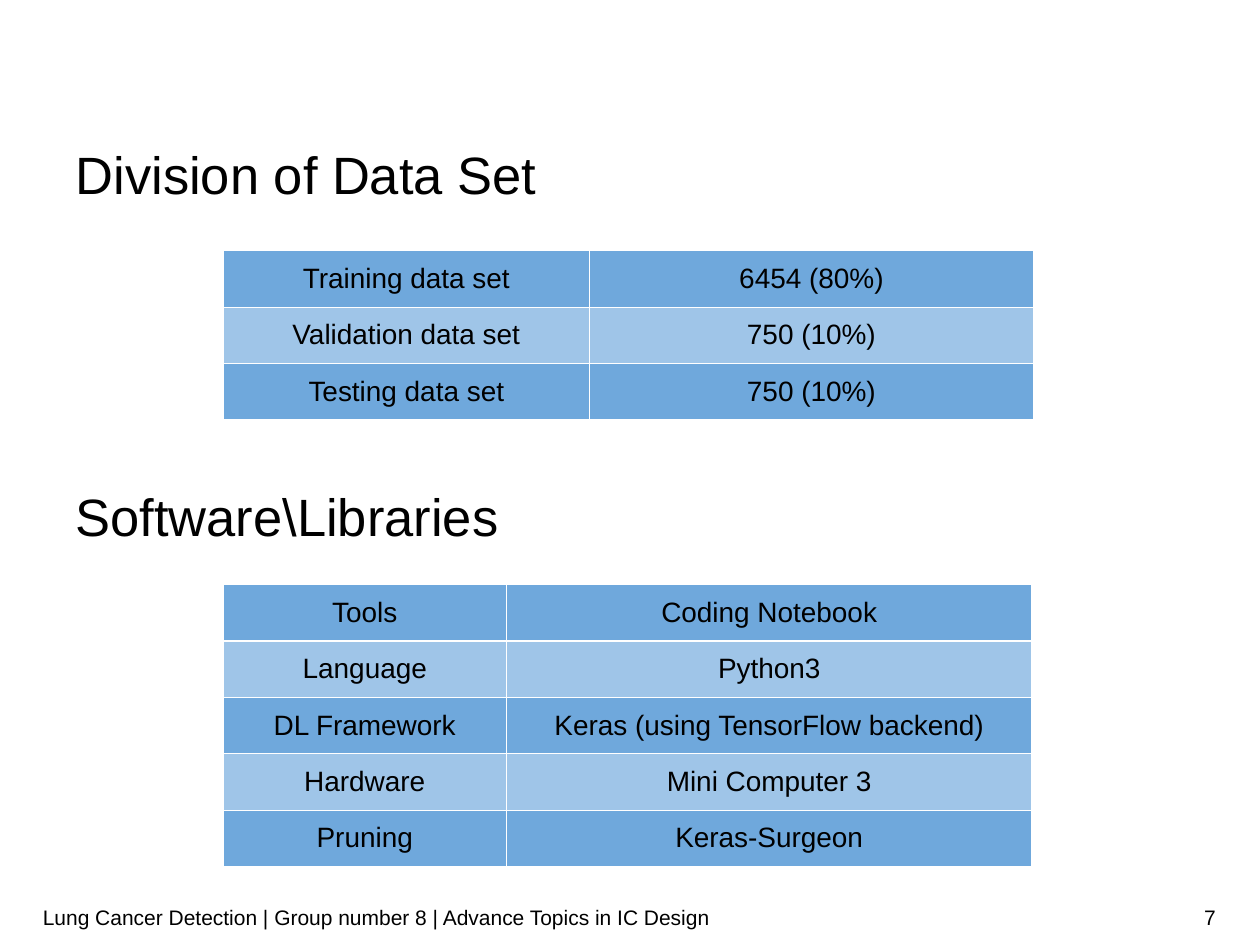
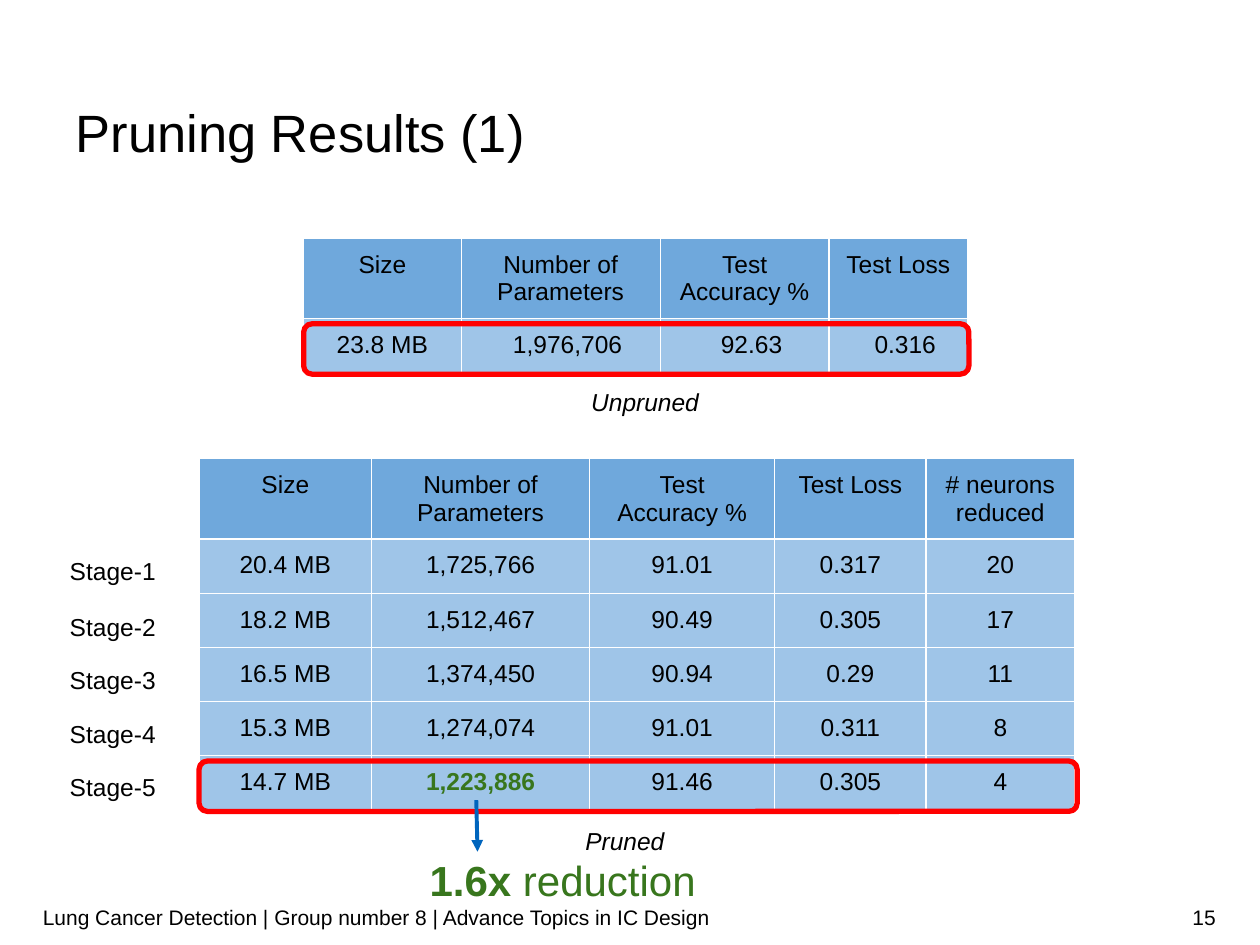
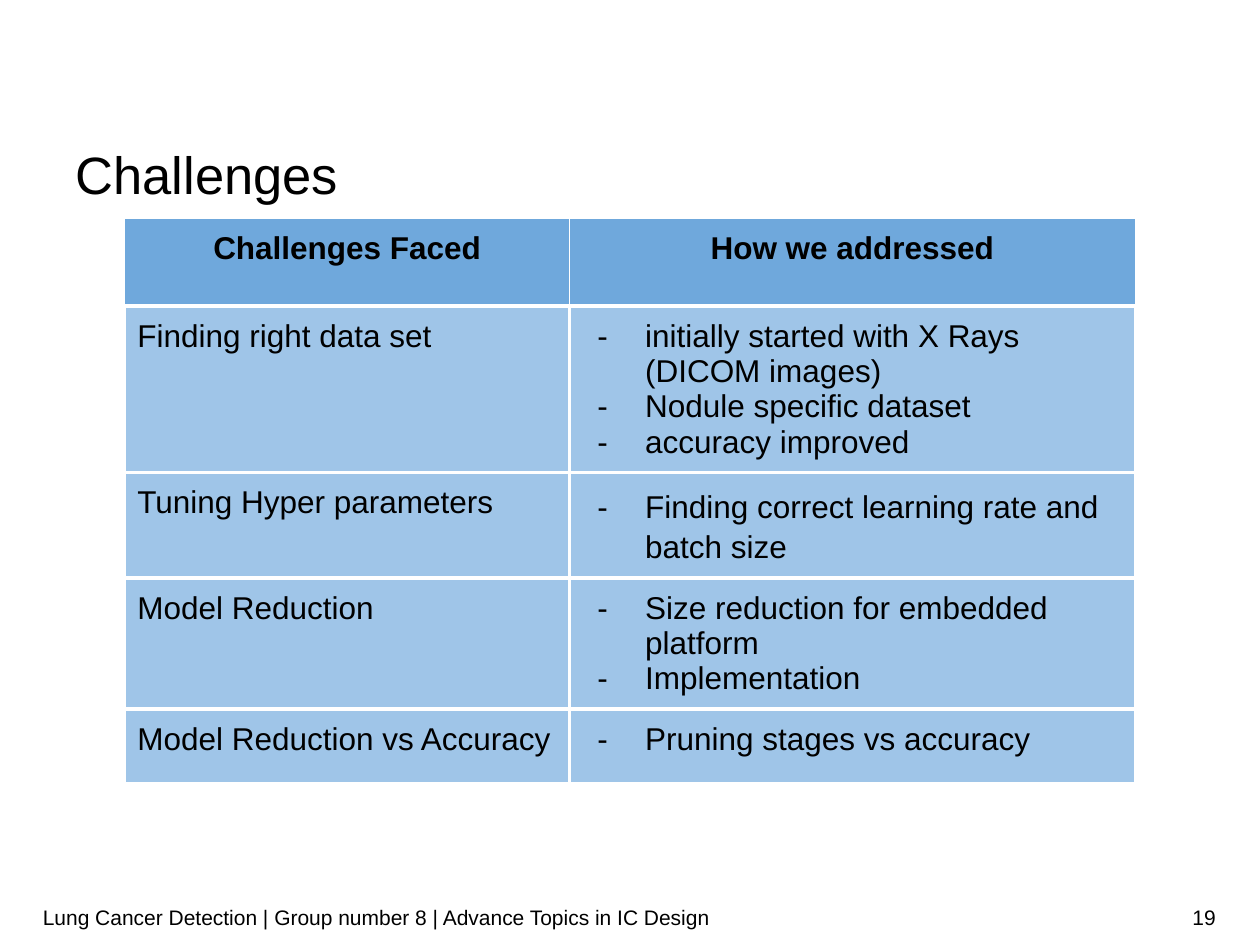
from dataclasses import dataclass

from lxml.etree import SubElement
from pptx import Presentation
from pptx.dml.color import RGBColor
from pptx.enum.shapes import MSO_CONNECTOR, MSO_SHAPE
from pptx.enum.text import MSO_ANCHOR, MSO_AUTO_SIZE, PP_ALIGN
from pptx.oxml import parse_xml
from pptx.oxml.ns import nsdecls, qn
from pptx.util import Emu, Pt

PX = 9144  # one px is a hundredth of an inch
FONT = "Arial"
BLACK, WHITE, RED = "000000", "FFFFFF", "FF0000"
DARK, LIGHT, GREEN, BLUE = "6FA8DC", "9FC5E8", "38761D", "0065BD"
LEFT, MID, RIGHT = PP_ALIGN.LEFT, PP_ALIGN.CENTER, PP_ALIGN.RIGHT
FOOTER = "Lung Cancer Detection | Group number 8 | Advance Topics in IC Design"


@dataclass(frozen=True)
class Box:
    x: int
    y: int
    w: int
    h: int

    def emu(self) -> list[Emu]:
        return [px(n) for n in (self.x, self.y, self.w, self.h)]


@dataclass(frozen=True)
class Run:
    text: str
    bold: bool = False
    italic: bool = False
    hue: str = BLACK


@dataclass(frozen=True)
class Style:
    size: int
    align: PP_ALIGN = MID
    space: float = 1.0
    dash: bool = False


@dataclass(frozen=True)
class Cell:
    lines: list[list[Run]]
    style: Style
    fill: str
    pad: int = 10


@dataclass(frozen=True)
class Grid:
    x: int
    y: int
    cols: list[int]
    rows: list[int]
    cells: list[list[Cell]]
    rule: float = 0.75
    head: float = 0.75


HEAD = Style(30, LEFT, 1.07)
NOTE = Style(14, MID, 1.14)
LABEL = Style(14)


def px(n: int) -> Emu:
    return Emu(n * PX)


def color(code: str) -> RGBColor:
    return RGBColor.from_string(code)


def plain(text: str, bold: bool = False) -> list[list[Run]]:
    return [[Run(part, bold)] for part in text.split("\n")]


# Text

def add_dash(para) -> None:
    props = para._p.get_or_add_pPr()
    props.set("marL", str(px(50)))
    props.set("indent", str(px(-38)))
    tint = SubElement(props, qn("a:buClr"))
    SubElement(tint, qn("a:srgbClr"), val=BLACK)
    SubElement(props, qn("a:buFont"), typeface=FONT)
    SubElement(props, qn("a:buChar"), char="-")


def write(frame, lines: list[list[Run]], style: Style) -> None:
    for i, line in enumerate(lines):
        para = frame.add_paragraph() if i else frame.paragraphs[0]
        para.alignment = style.align
        para.line_spacing = style.space
        if style.dash:
            add_dash(para)
        for item in line:
            run = para.add_run()
            run.text = item.text
            font = run.font
            font.name, font.size = FONT, Pt(style.size)
            font.bold, font.italic = item.bold, item.italic
            font.color.rgb = color(item.hue)


def set_frame(frame, side: int, edge: int, anchor=MSO_ANCHOR.TOP) -> None:
    frame.word_wrap = True
    frame.auto_size = MSO_AUTO_SIZE.NONE
    frame.vertical_anchor = anchor
    frame.margin_left = frame.margin_right = px(side)
    frame.margin_top = frame.margin_bottom = px(edge)


def add_text(slide, box: Box, lines: list[list[Run]], style: Style,
             side: int = 0, edge: int = 0, anchor=MSO_ANCHOR.TOP) -> None:
    frame = slide.shapes.add_textbox(*box.emu()).text_frame
    set_frame(frame, side, edge, anchor)
    write(frame, lines, style)


# Shared slide parts

def add_slide(deck, title: str, box: Box, page: int):
    slide = deck.slides.add_slide(deck.slide_layouts[5])
    head = slide.shapes.title
    head.left, head.top, head.width, head.height = box.emu()
    set_frame(head.text_frame, 0, 0)
    write(head.text_frame, plain(title), HEAD)
    for place, text, align in ((Box(34, 708, 707, 40), FOOTER, LEFT),
                               (Box(741, 708, 224, 40), str(page), RIGHT)):
        add_text(slide, place, plain(text), Style(12, align), 0, 5, MSO_ANCHOR.MIDDLE)
    return slide


# Tables

def add_rules(cell, sides: dict[str, float]) -> None:
    props = cell._tc.get_or_add_tcPr()
    for i, (side, width) in enumerate(sides.items()):
        props.insert(i, parse_xml(
            f'<a:ln{side} {nsdecls("a")} w="{Pt(width)}"><a:solidFill>'
            f'<a:srgbClr val="{WHITE}"/></a:solidFill></a:ln{side}>'))


def add_grid(slide, grid: Grid) -> None:
    box = Box(grid.x, grid.y, sum(grid.cols), sum(grid.rows))
    table = slide.shapes.add_table(len(grid.rows), len(grid.cols), *box.emu()).table
    table.first_row = table.horz_banding = False
    for col, width in zip(table.columns, grid.cols):
        col.width = px(width)
    for row, height in zip(table.rows, grid.rows):
        row.height = px(height)
    for r, line in enumerate(grid.cells):
        thin = grid.rule if r else grid.head
        for c, item in enumerate(line):
            cell = table.cell(r, c)
            cell.margin_left = px(item.pad)
            cell.margin_right = cell.margin_top = cell.margin_bottom = px(10)
            cell.fill.solid()
            cell.fill.fore_color.rgb = color(item.fill)
            add_rules(cell, {"L": thin, "R": thin, "T": thin, "B": grid.rule})
            write(cell.text_frame, item.lines, item.style)


def striped(rows: list[tuple[str, str]]) -> list[list[Cell]]:
    return [[Cell(plain(text), Style(16), LIGHT if r % 2 else DARK) for text in row]
            for r, row in enumerate(rows)]


def headed(rows: list[list[str]]) -> list[list[Cell]]:
    return [[Cell(plain(text), LABEL, LIGHT if r else DARK) for text in row]
            for r, row in enumerate(rows)]


# Marks

def add_ring(slide, box: Box) -> None:
    ring = slide.shapes.add_shape(MSO_SHAPE.ROUNDED_RECTANGLE, *box.emu())
    ring.shadow.inherit = False
    ring.fill.background()
    ring.line.color.rgb = color(RED)
    ring.line.width = Pt(3)


def add_arrow(slide, x1: int, y1: int, x2: int, y2: int) -> None:
    arrow = slide.shapes.add_connector(
        MSO_CONNECTOR.STRAIGHT, px(x1), px(y1), px(x2), px(y2))
    arrow.line.color.rgb = color(BLUE)
    arrow.line.width = Pt(2.25)
    SubElement(arrow.line._get_or_add_ln(), qn("a:tailEnd"), type="triangle")
    SubElement(arrow._element.spPr, qn("a:effectLst"))


# Slides

def add_data(deck) -> None:
    slide = add_slide(deck, "Division of Data Set", Box(60, 109, 563, 45), 7)
    add_text(slide, Box(60, 381, 563, 45), plain("Software\\Libraries"), HEAD)
    split = [("Training data set", "6454 (80%)"),
             ("Validation data set", "750 (10%)"),
             ("Testing data set", "750 (10%)")]
    tools = [("Tools", "Coding Notebook"),
             ("Language", "Python3"),
             ("DL Framework", "Keras (using TensorFlow backend)"),
             ("Hardware", "Mini Computer 3"),
             ("Pruning", "Keras-Surgeon")]
    for y, cols, rows in ((199, [291, 352], split), (464, [225, 417], tools)):
        add_grid(slide, Grid(177, y, cols, [42] * len(rows), striped(rows)))


def add_results(deck) -> None:
    slide = add_slide(deck, "Pruning Results (1)", Box(60, 76, 931, 45), 15)
    names = ["Size", "Number of Parameters", "Test\nAccuracy %", "Test Loss"]

    # Before pruning
    base = headed([["Size", "Number of Parameters", "Test Accuracy %", "Test Loss"],
                   ["23.8 MB"]])
    base[1] += [Cell(plain(text), LABEL, LIGHT, 21)
                for text in ("1,976,706", "92.63", "0.316")]
    add_grid(slide, Grid(241, 189, [125, 158, 134, 110], [42, 43], base))

    # After each stage
    stages = headed([names + ["# neurons reduced"],
                     ["20.4 MB", "1,725,766", "91.01", "0.317", "20"],
                     ["18.2 MB", "1,512,467", "90.49", "0.305", "17"],
                     ["16.5 MB", "1,374,450", "90.94", "0.29", "11"],
                     ["15.3 MB", "1,274,074", "91.01", "0.311", "8"],
                     ["14.7 MB", "1,223,886", "91.46", "0.305", "4"]])
    stages[5][1] = Cell([[Run("1,223,886", bold=True, hue=GREEN)]], LABEL, LIGHT)
    add_grid(slide, Grid(158, 364, [137, 173, 147, 120, 118], [42] + [43] * 5, stages))
    for i, y in enumerate((431, 476, 518, 561, 603), 1):
        add_text(slide, Box(35, y, 109, 40), plain(f"Stage-{i}"), LABEL, 10, 10)

    # Captions and highlights
    for x, y, text in ((159, 304, "Unpruned"), (143, 652, "Pruned")):
        add_text(slide, Box(x, y, 706, 45), [[Run(text, italic=True)]], NOTE)
    for ring in (Box(241, 257, 528, 40), Box(158, 604, 697, 40)):
        add_ring(slide, ring)
    add_text(slide, Box(277, 668, 339, 32),
             [[Run("1.6x", bold=True, hue=GREEN), Run(" reduction", hue=GREEN)]],
             Style(24), 10, 10)
    add_arrow(slide, 378, 635, 379, 676)


def add_issues(deck) -> None:
    slide = add_slide(deck, "Challenges", Box(60, 109, 291, 45), 19)
    pairs = [("Finding right data set", 1.0,
              "initially started with X Rays (DICOM images)\n"
              "Nodule specific dataset\naccuracy improved"),
             ("Tuning Hyper parameters", 1.14,
              "Finding correct learning rate and batch size"),
             ("Model Reduction", 1.0,
              "Size reduction for embedded platform\nImplementation"),
             ("Model Reduction vs Accuracy", 1.0, "Pruning stages vs accuracy")]
    cells = [[Cell(plain(text, bold=True), Style(18), DARK)
              for text in ("Challenges Faced", "How we addressed")]]
    cells += [[Cell(plain(issue), Style(18, LEFT), LIGHT),
               Cell(plain(answer), Style(18, LEFT, space, dash=True), LIGHT)]
              for issue, space, answer in pairs]
    add_grid(slide, Grid(99, 173, [353, 449], [70, 123, 59, 59, 59], cells, rule=2.25))


def main() -> None:
    deck = Presentation()
    deck.slide_width, deck.slide_height = px(1000), px(750)
    add_data(deck)
    add_results(deck)
    add_issues(deck)
    deck.save("out.pptx")


if __name__ == "__main__":
    main()
